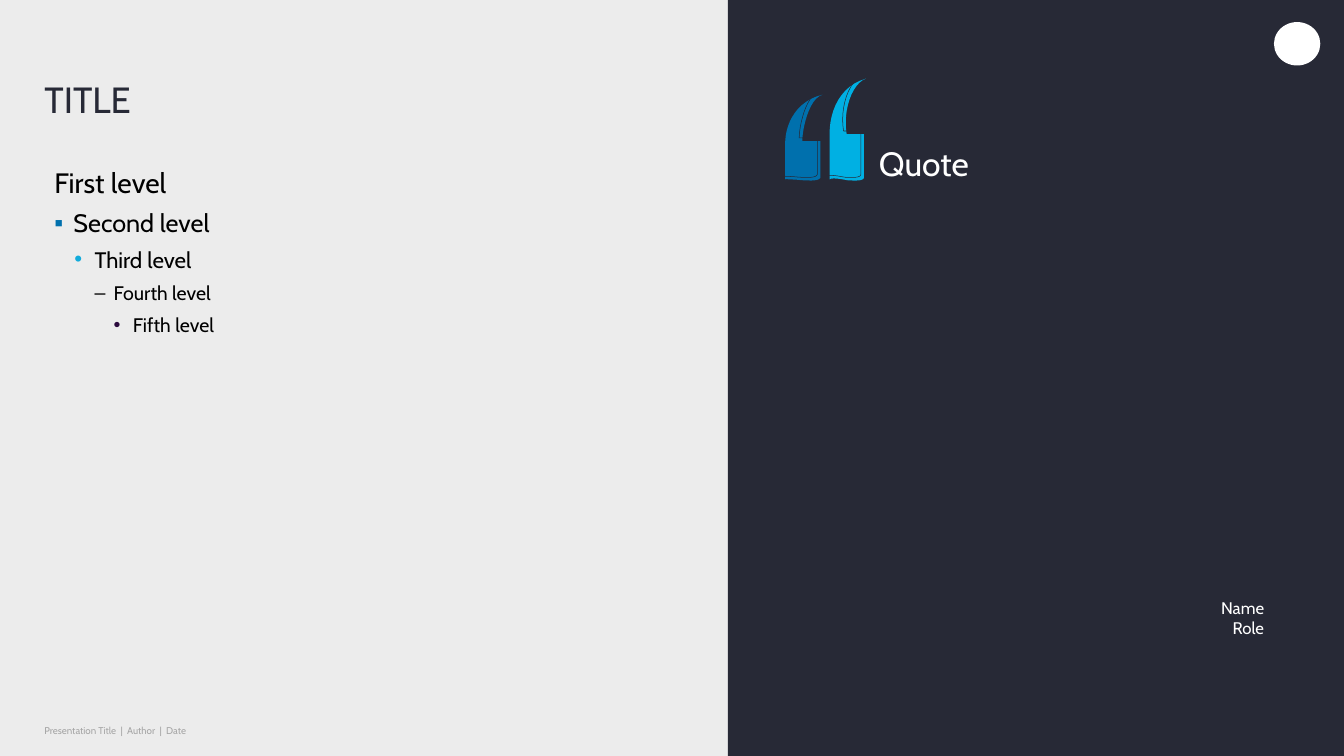
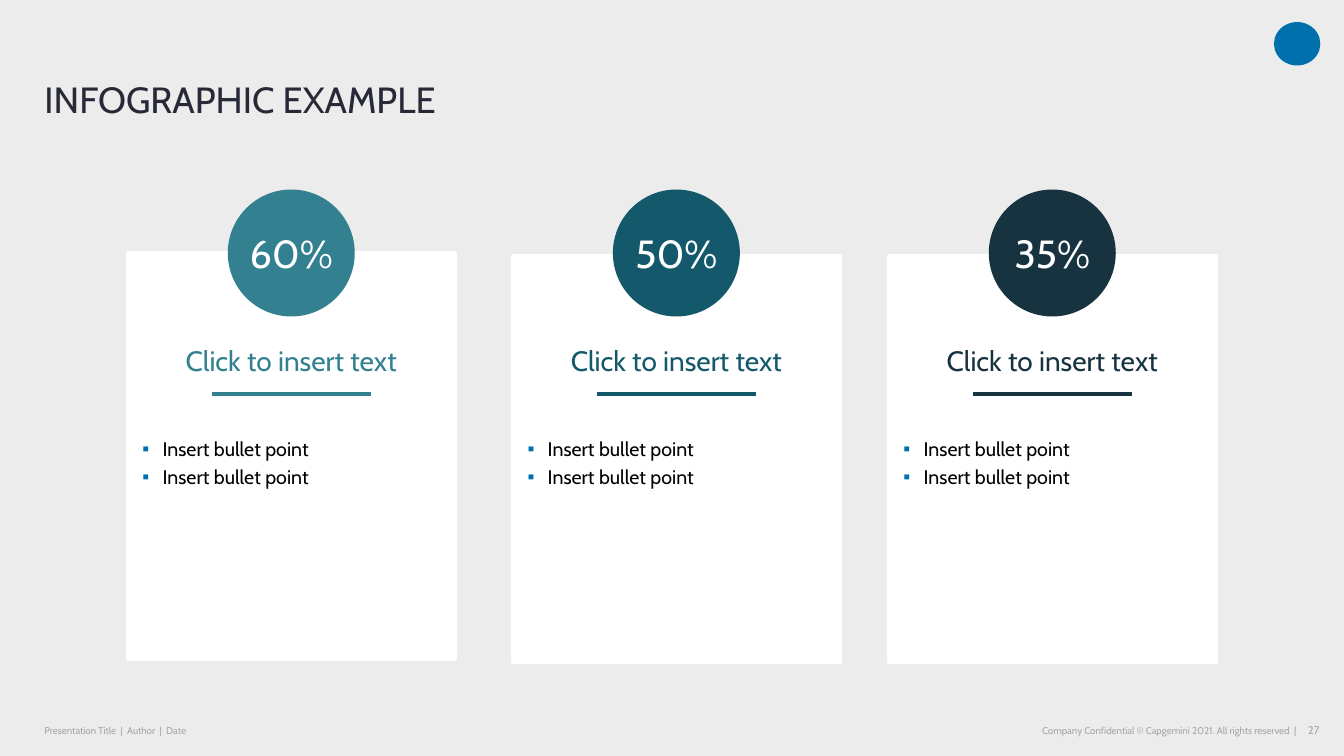
import dataclasses
import typing

import lxml.etree
import pptx
import pptx.dml.color
import pptx.enum.shapes
import pptx.enum.text
import pptx.oxml.ns
import pptx.util

SHAPE = pptx.enum.shapes.MSO_SHAPE
ALIGN = pptx.enum.text.PP_ALIGN
ANCHOR = pptx.enum.text.MSO_ANCHOR
Pt = pptx.util.Pt
qn = pptx.oxml.ns.qn

# Grid of 96 by 54 square cells
CELL = pptx.util.Inches(13.333) / 96
COLUMNS, ROWS = 96, 54

# Shared look
FONT = "Cabin"
PAPER, WHITE, BLACK = "ECECEC", "FFFFFF", "000000"
INK, BLUE, SKY, CYAN = "272936", "0070AD", "12ABDB", "00B0E3"
PURPLE, GRAY = "2B0A3D", "A6A6A6"
MARGIN, FOOTER_TOP, FOOTER_HEIGHT = 3.17, 51.34, 1.73
NO_INSETS = (0, 0, 0, 0)
TEXT_INSETS = (0.1, 0.05, 0.1, 0.05)


class Box(typing.NamedTuple):
    """Left, top, width and height in grid cells."""
    left: float
    top: float
    width: float
    height: float


@dataclasses.dataclass
class Line:
    """One paragraph; margin and hanging indent are in inches."""
    text: str
    size: float
    color: str = BLACK
    bullet: str = ""
    bullet_color: str = BLACK
    margin: float = 0
    hanging: float = 0
    layout: dict = dataclasses.field(default_factory=dict)


class Mark(typing.NamedTuple):
    """Outline steps: two numbers for a line, six for a curve."""
    left: float
    top: float
    color: str
    start: tuple
    steps: list


class Card(typing.NamedTuple):
    left: float
    top: float
    figure: str
    color: str


LEVELS = [
    Line("First level", 20),
    Line("Second level", 18, BLACK, "▪", BLUE, 0.19, 0.19),
    Line("Third level", 16, BLACK, "•", SKY, 0.4, 0.2),
    Line("Fourth level", 14, BLACK, "–", BLACK, 0.59, 0.19),
    Line("Fifth level", 14, BLACK, "•", PURPLE, 0.78, 0.19),
]

QUOTE_MARKS = [
    Mark(56.09, 6.77, BLUE, (2.66, 0), [
        (0.86, 0.43, 0.07, 1.94, 0, 3.31), (0, 6.05),
        (0.07, 5.98, 0.22, 6.05, 0.29, 6.05),
        (0.79, 6.05, 1.22, 6.12, 1.51, 6.12),
        (1.66, 6.12, 2.45, 6.19, 2.52, 5.9),
        (2.52, 3.31), (1.22, 3.31), (1.22, 2.52, 1.66, 0.29, 2.66, 0)]),
    Mark(59.26, 5.62, CYAN, (2.59, 0), [
        (0.79, 0.5, 0, 2.23, 0, 3.96), (0, 7.2),
        (0.07, 7.13, 0.22, 7.13, 0.29, 7.13),
        (0.79, 7.13, 1.22, 7.27, 1.44, 7.27),
        (1.66, 7.27, 2.45, 7.34, 2.45, 7.06),
        (2.45, 3.96), (1.22, 3.96), (0.94, 2.3, 1.58, 0.36, 2.59, 0)]),
]
OUTLINE_SHIFT = -0.22

CARD_WIDTH, CARD_HEIGHT = 23.33, 29.02
CARDS = [
    Card(9.14, 18.07, "60%", "338091"),
    Card(36.65, 18.29, "50%", "14596B"),
    Card(63.5, 18.29, "35%", "173340"),
]


def cells(count: float) -> int:
    return round(count * CELL)


def rgb(color: str) -> pptx.dml.color.RGBColor:
    return pptx.dml.color.RGBColor.from_string(color)


# Formatting
def paint(shape, fill: str = "", line: str = "", width: float = 0) -> None:
    shape.shadow.inherit = False
    if fill:
        shape.fill.solid()
        shape.fill.fore_color.rgb = rgb(fill)
    else:
        shape.fill.background()
    if line:
        shape.line.color.rgb = rgb(line)
        shape.line.width = Pt(width)
    else:
        shape.line.fill.background()


def add_bullet(paragraph, line: Line) -> None:
    properties = paragraph._p.get_or_add_pPr()
    properties.set("marL", str(pptx.util.Inches(line.margin)))
    properties.set("indent", str(-pptx.util.Inches(line.hanging)))
    if line.bullet:
        color = lxml.etree.SubElement(properties, qn("a:buClr"))
        lxml.etree.SubElement(color, qn("a:srgbClr"), val=line.bullet_color)
        lxml.etree.SubElement(properties, qn("a:buFont"), typeface="Arial")
        lxml.etree.SubElement(properties, qn("a:buChar"), char=line.bullet)


def write(shape, lines: list[Line], insets: tuple = TEXT_INSETS,
          anchor=ANCHOR.TOP, **shared) -> None:
    """Fill a shape with paragraphs; shared holds paragraph settings."""
    frame = shape.text_frame
    sides = ("margin_left", "margin_top", "margin_right", "margin_bottom")
    settings = {side: pptx.util.Inches(inset) for side, inset in zip(sides, insets)}
    settings |= {"word_wrap": True, "vertical_anchor": anchor,
                 "auto_size": pptx.enum.text.MSO_AUTO_SIZE.NONE}
    for name, value in settings.items():
        setattr(frame, name, value)
    for index, line in enumerate(lines):
        paragraph = frame.add_paragraph() if index else frame.paragraphs[0]
        add_bullet(paragraph, line)
        for name, value in ({"alignment": ALIGN.LEFT} | shared | line.layout).items():
            setattr(paragraph, name, value)
        run = paragraph.add_run()
        run.text = line.text
        for name, value in {"name": FONT, "size": Pt(line.size), "bold": False}.items():
            setattr(run.font, name, value)
        run.font.color.rgb = rgb(line.color)


# Drawing
def add_text(slide, box: Box, lines: list[Line], **options) -> None:
    write(slide.shapes.add_textbox(*map(cells, box)), lines, **options)


def add_block(slide, kind, box: Box, fill: str, line: str = "", width: float = 0):
    shape = slide.shapes.add_shape(kind, *map(cells, box))
    paint(shape, fill, line, width)
    return shape


def add_rule(slide, left: float, top: float, width: float, color: str) -> None:
    rule = slide.shapes.add_connector(
        pptx.enum.shapes.MSO_CONNECTOR.STRAIGHT,
        cells(left), cells(top), cells(left + width), cells(top))
    rule.line.color.rgb = rgb(color)
    rule.line.width = Pt(3)
    lxml.etree.SubElement(rule._element.spPr, qn("a:effectLst"))


def outline_points(mark: Mark, samples: int = 12) -> list[tuple]:
    points = [mark.start]
    for step in mark.steps:
        if len(step) == 2:
            points.append(step)
            continue
        controls = [points[-1], step[:2], step[2:4], step[4:]]
        for sample in range(1, samples + 1):
            t = sample / samples
            weights = ((1 - t) ** 3, 3 * t * (1 - t) ** 2, 3 * t * t * (1 - t), t ** 3)
            points.append(tuple(
                sum(weight * control[axis] for weight, control in zip(weights, controls))
                for axis in (0, 1)))
    return points


def add_mark(slide, mark: Mark, shift: float = 0, **colors) -> None:
    points = [(cells(mark.left + shift + x), cells(mark.top + shift + y))
              for x, y in outline_points(mark)]
    builder = slide.shapes.build_freeform(*points[0])
    builder.add_line_segments(points[1:], close=True)
    paint(builder.convert_to_shape(), **colors)


def add_emblem(slide, color: str) -> None:
    add_block(slide, SHAPE.OVAL, Box(91, 1.58, 3.31, 3.1), color)


def start_slide(presentation, title: str, title_width: float):
    slide = presentation.slides.add_slide(presentation.slide_layouts[5])
    placeholder = slide.shapes.title
    box = Box(MARGIN, 3.02, title_width, 5.62)
    for name, value in zip(("left", "top", "width", "height"), box):
        setattr(placeholder, name, cells(value))
    write(placeholder, [Line(title, 26, INK)], NO_INSETS, ANCHOR.BOTTOM, line_spacing=0.9)
    add_text(slide, Box(MARGIN, FOOTER_TOP, 26.86, FOOTER_HEIGHT),
             [Line("Presentation Title  |  Author  |  Date", 7, GRAY)],
             insets=NO_INSETS, anchor=ANCHOR.MIDDLE)
    return slide


# Slides
def build_quote_slide(presentation) -> None:
    slide = start_slide(presentation, "TITLE", 47.09)
    add_text(slide, Box(MARGIN, 10.94, 47.09, 38.23), LEVELS,
             insets=(0.1, 0.12, 0, 0), space_after=Pt(6))

    # Dark panel with the quotation
    add_block(slide, SHAPE.RECTANGLE, Box(52, 0, COLUMNS - 52, ROWS), INK)
    add_text(slide, Box(57.74, 9, 33.34, 3.67), [Line("Quote", 24, WHITE, margin=0.7)],
             insets=(0, 0.01, 0, 0), line_spacing=Pt(40))
    add_emblem(slide, WHITE)
    for mark in QUOTE_MARKS:
        add_mark(slide, mark, fill=mark.color)
    for mark in QUOTE_MARKS:
        add_mark(slide, mark, OUTLINE_SHIFT, line=INK, width=0.38)
    add_text(slide, Box(77.47, 42.34, 13.54, 3.6),
             [Line(text, 12, WHITE) for text in ("Name", "Role")], alignment=ALIGN.RIGHT)


def add_card(slide, card: Card) -> None:
    def centered(top: float, width: float, height: float) -> Box:
        return Box(card.left + (CARD_WIDTH - width) / 2, top, width, height)

    add_block(slide, SHAPE.RECTANGLE, Box(card.left, card.top, CARD_WIDTH, CARD_HEIGHT),
              WHITE, WHITE, 3)
    circle = add_block(slide, SHAPE.OVAL, centered(13.54, 9.07, 9.07), card.color)
    write(circle, [Line(card.figure, 28, WHITE)], NO_INSETS, ANCHOR.MIDDLE,
          alignment=ALIGN.CENTER)
    add_text(slide, centered(24.48, 21.53, 5.11),
             [Line("Click to insert text", 20, card.color)],
             alignment=ALIGN.CENTER, line_spacing=0.9)
    rule = centered(28.15, 11.38, 0)
    add_rule(slide, rule.left, rule.top, rule.width, card.color)
    add_text(slide, centered(30.89, 22.68, 16.13),
             [Line("Insert bullet point", 14, BLACK, "▪", BLUE, 0.2, 0.2, layout)
              for layout in ({}, {"space_before": Pt(3)})])


def build_infographic_slide(presentation) -> None:
    slide = start_slide(presentation, "INFOGRAPHIC EXAMPLE", 86.18)
    add_emblem(slide, BLUE)
    add_text(slide, Box(56.88, FOOTER_TOP, 35.71, FOOTER_HEIGHT),
             [Line("Company Confidential © Capgemini 2021. All rights reserved  |", 7, GRAY)],
             insets=NO_INSETS, anchor=ANCHOR.MIDDLE, alignment=ALIGN.RIGHT)
    add_text(slide, Box(92.45, FOOTER_TOP, 1.8, FOOTER_HEIGHT), [Line("27", 8, GRAY)],
             insets=(0, 0.05, 0, 0.05), alignment=ALIGN.RIGHT)
    for card in CARDS:
        add_card(slide, card)


def main() -> None:
    presentation = pptx.Presentation()
    presentation.slide_width = cells(COLUMNS)
    presentation.slide_height = cells(ROWS)
    background = presentation.slide_master.background.fill
    background.solid()
    background.fore_color.rgb = rgb(PAPER)
    build_quote_slide(presentation)
    build_infographic_slide(presentation)
    presentation.save("out.pptx")


if __name__ == "__main__":
    main()
